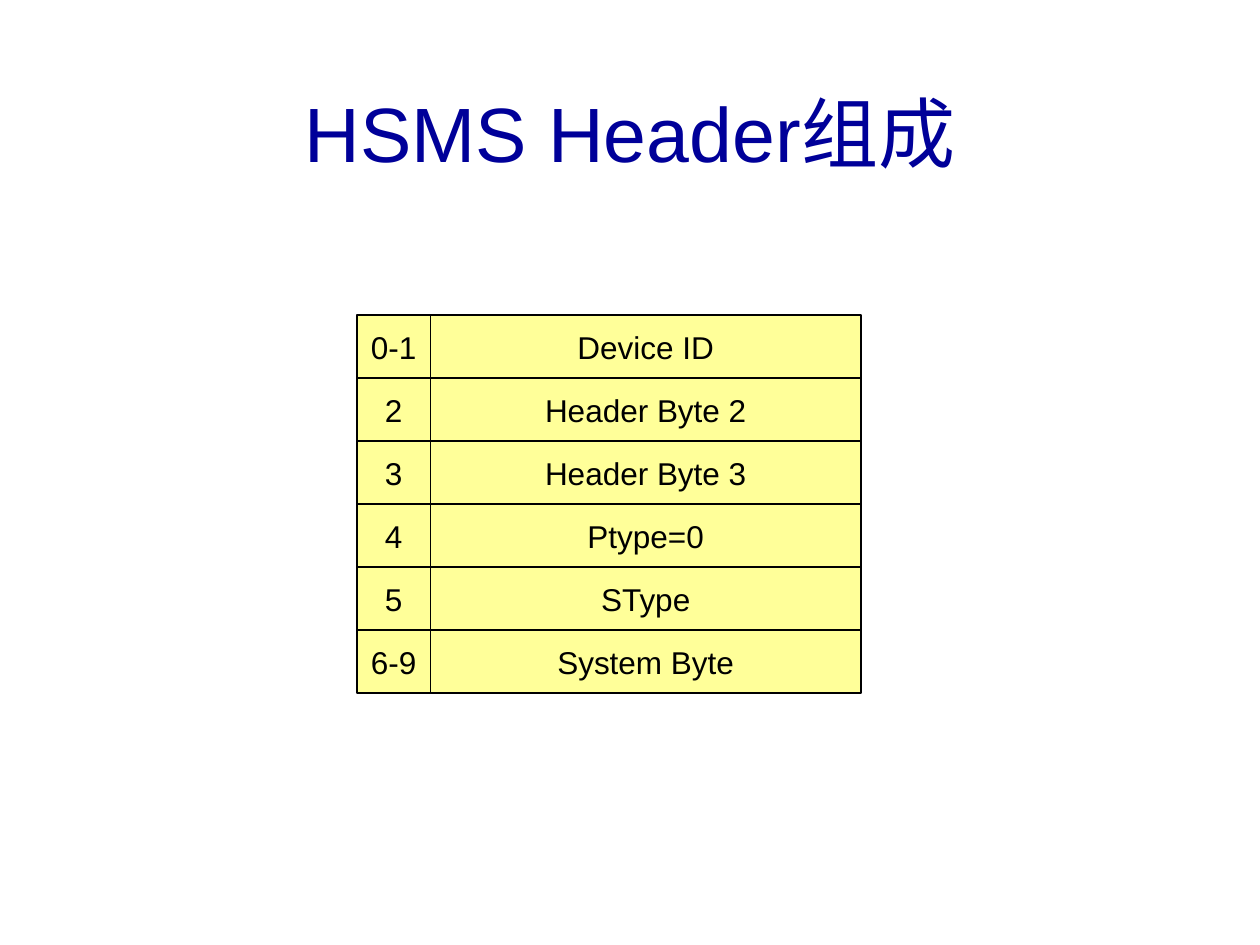
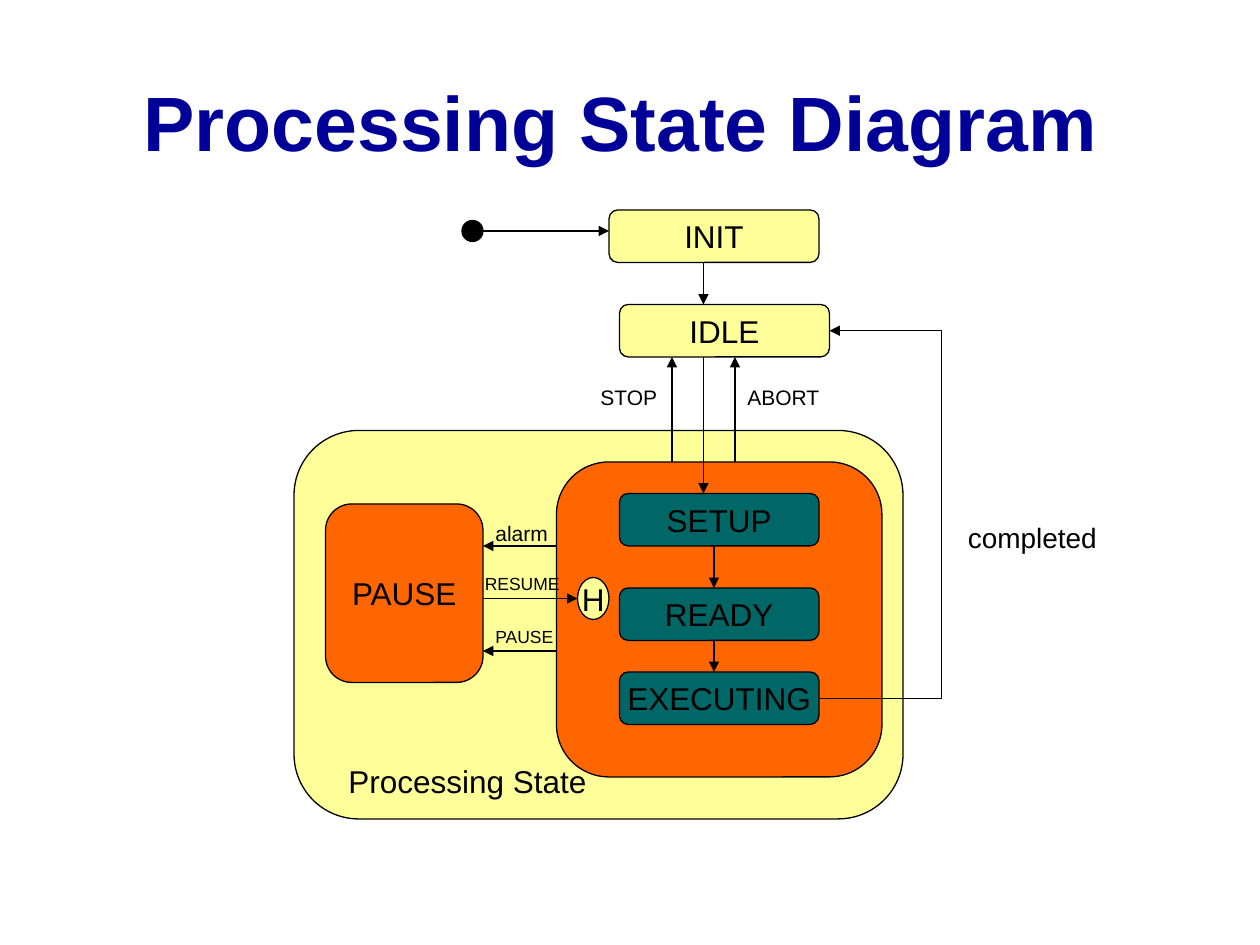
from dataclasses import dataclass

from pptx import Presentation
from pptx.dml.color import RGBColor
from pptx.enum.shapes import MSO_CONNECTOR as Link, MSO_SHAPE as Kind
from pptx.enum.text import MSO_ANCHOR as Anchor, PP_ALIGN as Align
from pptx.oxml import parse_xml
from pptx.oxml.ns import nsdecls, qn
from pptx.util import Inches, Pt

NAVY = RGBColor(0x00, 0x00, 0x99)
BLACK = RGBColor(0x00, 0x00, 0x00)
YELLOW = RGBColor(0xFF, 0xFF, 0x99)
ORANGE = RGBColor(0xFF, 0x66, 0x00)
TEAL = RGBColor(0x00, 0x66, 0x66)
FONT = "Arial"
THIN = Pt(0.75)
FLOW = Kind.FLOWCHART_ALTERNATE_PROCESS


@dataclass
class Node:
    left: float
    top: float
    width: float
    height: float
    fill: RGBColor
    text: str = ""
    kind: Kind = FLOW


@dataclass
class Label:
    left: float
    top: float
    width: float
    size: int
    text: str


@dataclass
class Arrow:
    x1: float
    y1: float
    x2: float
    y2: float


# All places and lengths below are in grid steps of 1/12 inch.
HEADER = [
    ("0-1", "Device ID"),
    ("2", "Header Byte 2"),
    ("3", "Header Byte 3"),
    ("4", "Ptype=0"),
    ("5", "SType"),
    ("6-9", "System Byte"),
]
COLUMNS = ((34, 7), (41, 41))
TOP, ROW = 30, 6

NODES = [
    Node(28, 41, 58, 37, YELLOW, kind=Kind.ROUNDED_RECTANGLE),
    Node(53, 44, 31, 30, ORANGE),
    Node(58, 20, 20, 5, YELLOW, "INIT"),
    Node(59, 29, 20, 5, YELLOW, "IDLE"),
    Node(59, 47, 19, 5, TEAL, "SETUP"),
    Node(59, 64, 19, 5, TEAL, "EXECUTING"),
    Node(59, 56, 19, 5, TEAL, "READY"),
    Node(31, 48, 15, 17, ORANGE, "PAUSE"),
    Node(44, 21, 2, 2, BLACK, kind=Kind.OVAL),
]
HISTORY = Node(55, 55, 3, 4, YELLOW, "H", Kind.OVAL)

ARROWS = [
    Arrow(45, 22, 58, 22),
    Arrow(67, 25, 67, 29),
    Arrow(67, 34, 67, 47),
    Arrow(68, 52, 68, 56),
    Arrow(68, 61, 68, 64),
    Arrow(64, 44, 64, 34),
    Arrow(70, 44, 70, 34),
    Arrow(53, 52, 46, 52),
    Arrow(53, 62, 46, 62),
    Arrow(46, 57, 55, 57),
]
RETURN = Arrow(78, 66.5, 79, 31.5)
RETURN_X = 89.65

LABELS = [
    Label(32, 72, 29, 18, "Processing State"),
    Label(56, 36, 8, 12, "STOP"),
    Label(70, 36, 10, 12, "ABORT"),
    Label(91, 49, 16, 16, "completed"),
    Label(46, 59, 9, 10, "PAUSE"),
    Label(46, 49, 9, 12, "alarm"),
    Label(45, 54, 12, 10, "RESUME"),
]


def grid(*steps: float) -> list[int]:
    return [Inches(step / 12) for step in steps]


def write(frame, text: str, size: int, color=BLACK, align=Align.CENTER, bold=False) -> None:
    frame.text = text
    para = frame.paragraphs[0]
    para.alignment = align
    for run in para.runs:
        run.font.name = FONT
        run.font.size = Pt(size)
        run.font.bold = bold
        run.font.color.rgb = color


def add_box(slide, left: float, top: float, width: float, height: float):
    box = slide.shapes.add_textbox(*grid(left, top, width, height))
    box.text_frame.word_wrap = True
    return box.text_frame


def add_title(slide, text: str, left: float, width: float, height: float, bold=False) -> None:
    frame = add_box(slide, left, 5, width, height)
    frame.vertical_anchor = Anchor.MIDDLE
    write(frame, text, 44, NAVY, bold=bold)


def add_label(slide, label: Label) -> None:
    height = 1.2 + label.size / 5
    frame = add_box(slide, label.left, label.top, label.width, height)
    write(frame, label.text, label.size, align=Align.LEFT)


def add_node(slide, node: Node) -> None:
    shape = slide.shapes.add_shape(
        node.kind, *grid(node.left, node.top, node.width, node.height)
    )
    shape.shadow.inherit = False
    shape.fill.solid()
    shape.fill.fore_color.rgb = node.fill
    shape.line.color.rgb = BLACK
    shape.line.width = THIN
    if node.text:
        frame = shape.text_frame
        frame.word_wrap = False
        frame.vertical_anchor = Anchor.MIDDLE
        write(frame, node.text, 18)


def add_arrow(slide, arrow: Arrow, kind=Link.STRAIGHT):
    line = slide.shapes.add_connector(
        kind, *grid(arrow.x1, arrow.y1, arrow.x2, arrow.y2)
    )
    line.line.color.rgb = BLACK
    line.line.width = THIN
    props = line.element.spPr
    head = parse_xml(f'<a:tailEnd {nsdecls("a")} type="triangle"/>')
    props.find(qn("a:ln")).append(head)
    props.append(parse_xml(f'<a:effectLst {nsdecls("a")}/>'))
    return line


def add_return(slide) -> None:
    """Draw the bent arrow that leaves to RETURN_X and comes back to IDLE."""
    line = add_arrow(slide, RETURN, Link.ELBOW)
    bend = round((RETURN_X - RETURN.x1) / (RETURN.x2 - RETURN.x1) * 100000)
    guides = line.element.spPr.find(qn("a:prstGeom")).get_or_add_avLst()
    guides.append(parse_xml(f'<a:gd {nsdecls("a")} name="adj1" fmla="val {bend}"/>'))


def add_header(slide) -> None:
    """Stack the header fields, with byte numbers beside their names."""
    for row, texts in enumerate(HEADER):
        for (left, width), text in zip(COLUMNS, texts):
            add_node(slide, Node(left, TOP + row * ROW, width, ROW, YELLOW, text, Kind.RECTANGLE))


def main() -> None:
    deck = Presentation()
    deck.slide_width, deck.slide_height = Inches(10), Inches(7.5)
    blank = deck.slide_layouts[6]

    slide = deck.slides.add_slide(blank)
    add_title(slide, "HSMS Header组成", 4, 112, 15)
    add_header(slide)

    slide = deck.slides.add_slide(blank)
    add_title(slide, "Processing State Diagram", 5, 108.3, 13, bold=True)
    for node in NODES:
        add_node(slide, node)
    for arrow in ARROWS:
        add_arrow(slide, arrow)
    add_node(slide, HISTORY)
    add_return(slide)
    for label in LABELS:
        add_label(slide, label)

    deck.save("out.pptx")


if __name__ == "__main__":
    main()
